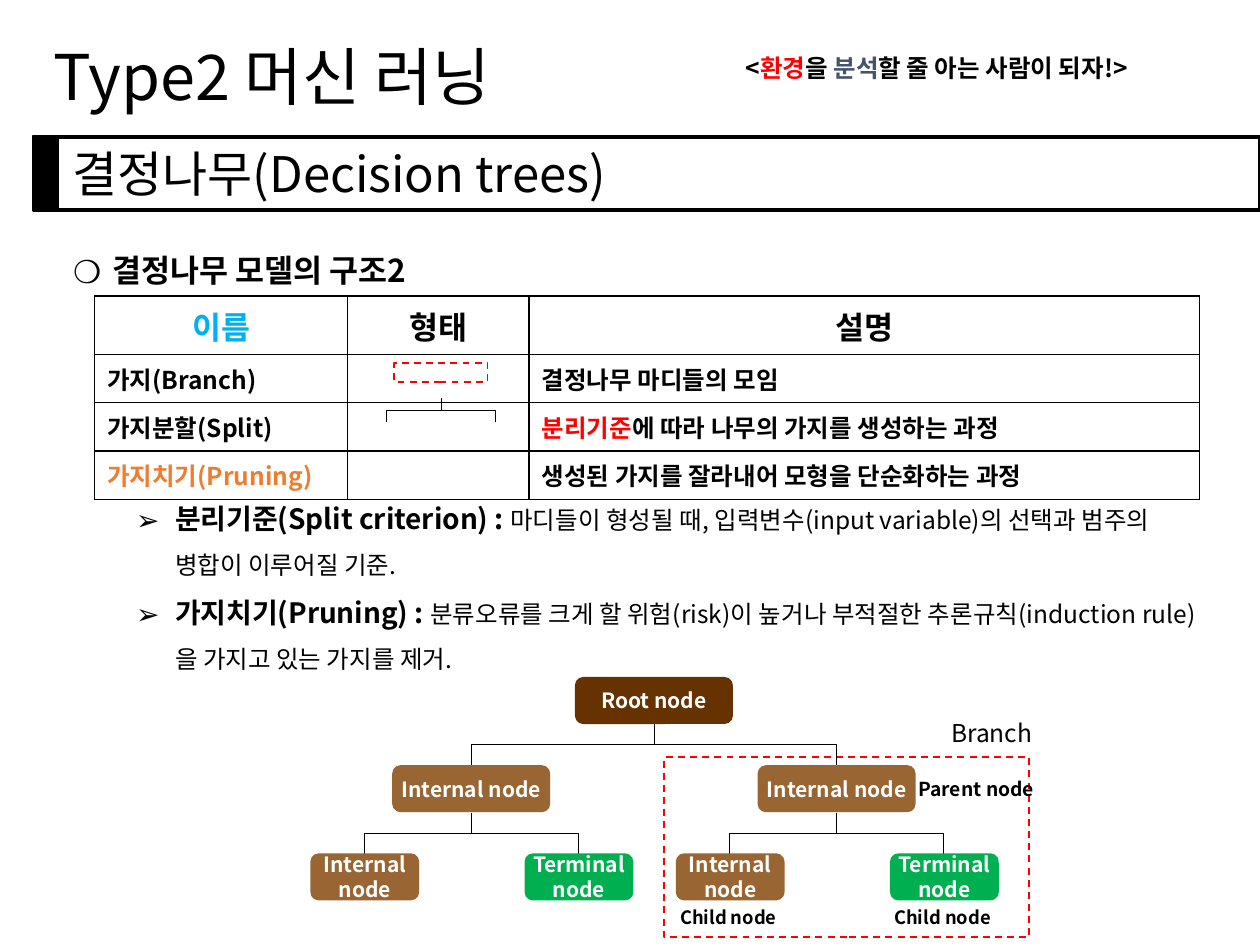
from dataclasses import dataclass
from typing import Optional

from lxml import etree
from pptx import Presentation
from pptx.dml.color import RGBColor
from pptx.enum.dml import MSO_LINE
from pptx.enum.shapes import MSO_CONNECTOR, MSO_SHAPE
from pptx.enum.text import MSO_ANCHOR, MSO_AUTO_SIZE, PP_ALIGN
from pptx.oxml.ns import qn
from pptx.util import Pt

PX = 9144
FONT = "Noto Sans CJK KR"
BLACK = RGBColor(0x00, 0x00, 0x00)
WHITE = RGBColor(0xFF, 0xFF, 0xFF)
RED = RGBColor(0xFF, 0x00, 0x00)
SLATE = RGBColor(0x44, 0x54, 0x6A)
SKY = RGBColor(0x00, 0xB0, 0xF0)
ORANGE = RGBColor(0xED, 0x7D, 0x31)
DARK_BROWN = RGBColor(0x66, 0x33, 0x00)
BROWN = RGBColor(0x99, 0x66, 0x33)
GREEN = RGBColor(0x00, 0xB0, 0x50)
RECT = MSO_SHAPE.RECTANGLE
ROUNDED = MSO_SHAPE.ROUNDED_RECTANGLE
ELBOW = MSO_CONNECTOR.ELBOW
DASH = MSO_LINE.DASH
LEFT, CENTER = PP_ALIGN.LEFT, PP_ALIGN.CENTER
TOP, MIDDLE = MSO_ANCHOR.TOP, MSO_ANCHOR.MIDDLE
NO_AUTOFIT = MSO_AUTO_SIZE.NONE


@dataclass(frozen=True)
class Span:
    text: str
    color: Optional[RGBColor] = None
    size: Optional[float] = None
    bold: Optional[bool] = None


@dataclass(frozen=True)
class Box:
    left: int
    top: int
    width: int
    height: int

    def emu(self) -> tuple:
        return tuple(n * PX for n in (self.left, self.top, self.width, self.height))


@dataclass(frozen=True)
class Node:
    text: str
    center: int
    top: int
    width: int
    color: RGBColor


@dataclass(frozen=True)
class Fork:
    center: int
    top: int
    bottom: int
    reach: int


@dataclass(frozen=True)
class Label:
    spans: tuple
    box: Box
    size: float
    bold: bool = False
    align: int = LEFT
    wrap: bool = True


def write(paragraph, spans: tuple, size: float, bold: bool = False,
          color: RGBColor = BLACK, align: int = LEFT) -> None:
    paragraph.alignment = align
    font = paragraph.font
    font.name, font.size, font.bold = FONT, Pt(size), bold
    font.color.rgb = color
    etree.SubElement(font._rPr, qn("a:ea"), typeface=FONT)
    for span in spans:
        run = paragraph.add_run()
        run.text = span.text
        if span.color is not None:
            run.font.color.rgb = span.color
        if span.size is not None:
            run.font.size = Pt(span.size)
        if span.bold is not None:
            run.font.bold = span.bold


def place(placeholder, box: Box):
    placeholder.left, placeholder.top, placeholder.width, placeholder.height = box.emu()
    frame = placeholder.text_frame
    frame.auto_size, frame.vertical_anchor, frame.word_wrap = NO_AUTOFIT, TOP, True
    return frame


def add_label(slide, label: Label) -> None:
    frame = slide.shapes.add_textbox(*label.box.emu()).text_frame
    frame.word_wrap = label.wrap
    write(frame.paragraphs[0], label.spans, label.size, label.bold, align=label.align)


def add_block(slide, kind: int, box: Box, line: RGBColor, width: float = 1,
              fill: Optional[RGBColor] = None, dash: Optional[int] = None):
    block = slide.shapes.add_shape(kind, *box.emu())
    block.shadow.inherit = False
    if fill is None:
        block.fill.background()
    else:
        block.fill.solid()
        block.fill.fore_color.rgb = fill
    block.line.color.rgb = line
    block.line.width = Pt(width)
    if dash is not None:
        block.line.dash_style = dash
    return block


def add_node(slide, node: Node) -> None:
    box = Box(node.center - node.width // 2, node.top, node.width, 36)
    frame = add_block(slide, ROUNDED, box, node.color, fill=node.color).text_frame
    frame.word_wrap, frame.vertical_anchor = True, MIDDLE
    frame.margin_left = frame.margin_right = 4 * PX
    frame.margin_top = frame.margin_bottom = 5 * PX
    write(frame.paragraphs[0], (Span(node.text),), 12, True, WHITE, CENTER)


def add_fork(slide, fork: Fork) -> None:
    drop = fork.bottom - fork.top
    for side, turn in ((-1, 90), (1, 270)):
        left = (2 * fork.center + side * fork.reach - drop) * PX // 2
        top = (fork.top + fork.bottom - fork.reach) * PX // 2
        branch = slide.shapes.add_connector(
            ELBOW, left, top, left + drop * PX, top + fork.reach * PX)
        branch.line.color.rgb = BLACK
        branch.line.width = Pt(0.5)
        properties = branch._element.spPr
        etree.SubElement(properties, qn("a:effectLst"))
        transform = properties.find(qn("a:xfrm"))
        transform.set("rot", str(turn * 60000))
        if side > 0:
            transform.set("flipH", "1")


def add_bullet(paragraph, mark: str, level: int, indent: int, space: float) -> None:
    paragraph.level = level
    paragraph.line_spacing = 1.5
    paragraph.space_before = Pt(space)
    properties = paragraph._p.get_or_add_pPr()
    properties.set("marL", str(indent * PX))
    properties.set("indent", str(-31 * PX))
    etree.SubElement(properties, qn("a:buFont"), typeface=FONT)
    etree.SubElement(properties, qn("a:buChar"), char=mark)


def style_cell(cell) -> None:
    properties = cell._tc.get_or_add_tcPr()
    for edge in ("a:lnL", "a:lnR", "a:lnT", "a:lnB"):
        line = etree.SubElement(properties, qn(edge), w=str(Pt(1)))
        fill = etree.SubElement(line, qn("a:solidFill"))
        etree.SubElement(fill, qn("a:srgbClr"), val=str(BLACK))
    cell.fill.solid()
    cell.fill.fore_color.rgb = WHITE
    cell.vertical_anchor = MIDDLE


def add_terms(slide, rows: tuple) -> None:
    table = slide.shapes.add_table(len(rows), 3, *Box(75, 235, 877, 140).emu()).table
    for column, width in zip(table.columns, (201, 144, 532)):
        column.width = width * PX
    for r, row in enumerate(rows):
        table.rows[r].height = (33 if r else 40) * PX
        for c, spans in enumerate(row):
            cell = table.cell(r, c)
            style_cell(cell)
            write(cell.text_frame.paragraphs[0], spans, 14 if r else 18, True,
                  align=LEFT if r else CENTER)


LABELS = (
    Label((Span("<"), Span("환경", RED), Span("을 "), Span("분석", SLATE),
           Span("할 줄 아는 사람이 되자!>")), Box(448, 37, 591, 34), 14, True, CENTER),
    Label((Span("결정나무(Decision trees)"),), Box(48, 109, 619, 57), 28),
    Label((Span("Branch"),), Box(745, 565, 93, 34), 14),
    Label((Span("Parent node"),), Box(719, 612, 124, 29), 11, True),
    *(Label((Span("Child node"),), Box(left, 714, 97, 29), 10.5, True, wrap=False)
      for left in (530, 700)),
)
BULLETS = (
    ("❍", 0, 31, 0, (Span("결정나무 모델의 구조2", size=18, bold=True),)),
    ("➢", 1, 81, 112, (
        Span("분리기준(Split criterion) : ", size=16, bold=True),
        Span("마디들이 형성될 때, 입력변수(input variable)의 선택과 범주의 병합이 이루어질 기준."))),
    ("➢", 1, 81, 0, (
        Span("가지치기(Pruning) : ", size=16, bold=True),
        Span("분류오류를 크게 할 위험(risk)이 높거나 부적절한 추론규칙(induction rule)을 "
             "가지고 있는 가지를 제거."))),
)
TERMS = (
    ((Span("이름", SKY),), (Span("형태"),), (Span("설명"),)),
    ((Span("가지(Branch)"),), (), (Span("결정나무 마디들의 모임"),)),
    ((Span("가지분할(Split)"),), (),
     (Span("분리기준", RED), Span("에 따라 나무의 가지를 생성하는 과정"))),
    ((Span("가지치기(Pruning)", ORANGE),), (),
     (Span("생성된 가지를 잘라내어 모형을 단순화하는 과정"),)),
)
ROOT_CENTER, ROOT_REACH, CHILD_REACH = 519, 145, 85


def main() -> None:
    deck = Presentation()
    deck.slide_width, deck.slide_height = 1000 * PX, 750 * PX
    slide = deck.slides.add_slide(deck.slide_layouts[1])
    title = place(slide.shapes.title, Box(-47, 25, 526, 71))
    write(title.paragraphs[0], (Span("Type2 머신 러닝"),), 36, align=CENTER)
    body = place(slide.placeholders[1], Box(48, 179, 926, 409))
    for i, (mark, level, indent, space, spans) in enumerate(BULLETS):
        paragraph = body.add_paragraph() if i else body.paragraphs[0]
        add_bullet(paragraph, mark, level, indent, space)
        write(paragraph, spans, 14)

    add_block(slide, RECT, Box(26, 108, 20, 59), BLACK, fill=BLACK)
    add_block(slide, RECT, Box(27, 109, 973, 58), BLACK, 2.25)
    add_terms(slide, TERMS)
    for branch_frame in (Box(313, 288, 74, 15), Box(527, 601, 290, 143)):
        add_block(slide, RECT, branch_frame, RED, dash=DASH)
    add_fork(slide, Fork(350, 316, 335, 43))

    add_fork(slide, Fork(ROOT_CENTER, 574, 608, ROOT_REACH))
    add_node(slide, Node("Root node", ROOT_CENTER, 538, 124, DARK_BROWN))
    for parent in (ROOT_CENTER - ROOT_REACH, ROOT_CENTER + ROOT_REACH):
        add_fork(slide, Fork(parent, 645, 678, CHILD_REACH))
        add_node(slide, Node("Internal node", parent, 608, 124, BROWN))
        add_node(slide, Node("Internal node", parent - CHILD_REACH, 678, 85, BROWN))
        add_node(slide, Node("Terminal node", parent + CHILD_REACH, 678, 85, GREEN))
    for label in LABELS:
        add_label(slide, label)
    deck.save("out.pptx")


if __name__ == "__main__":
    main()
